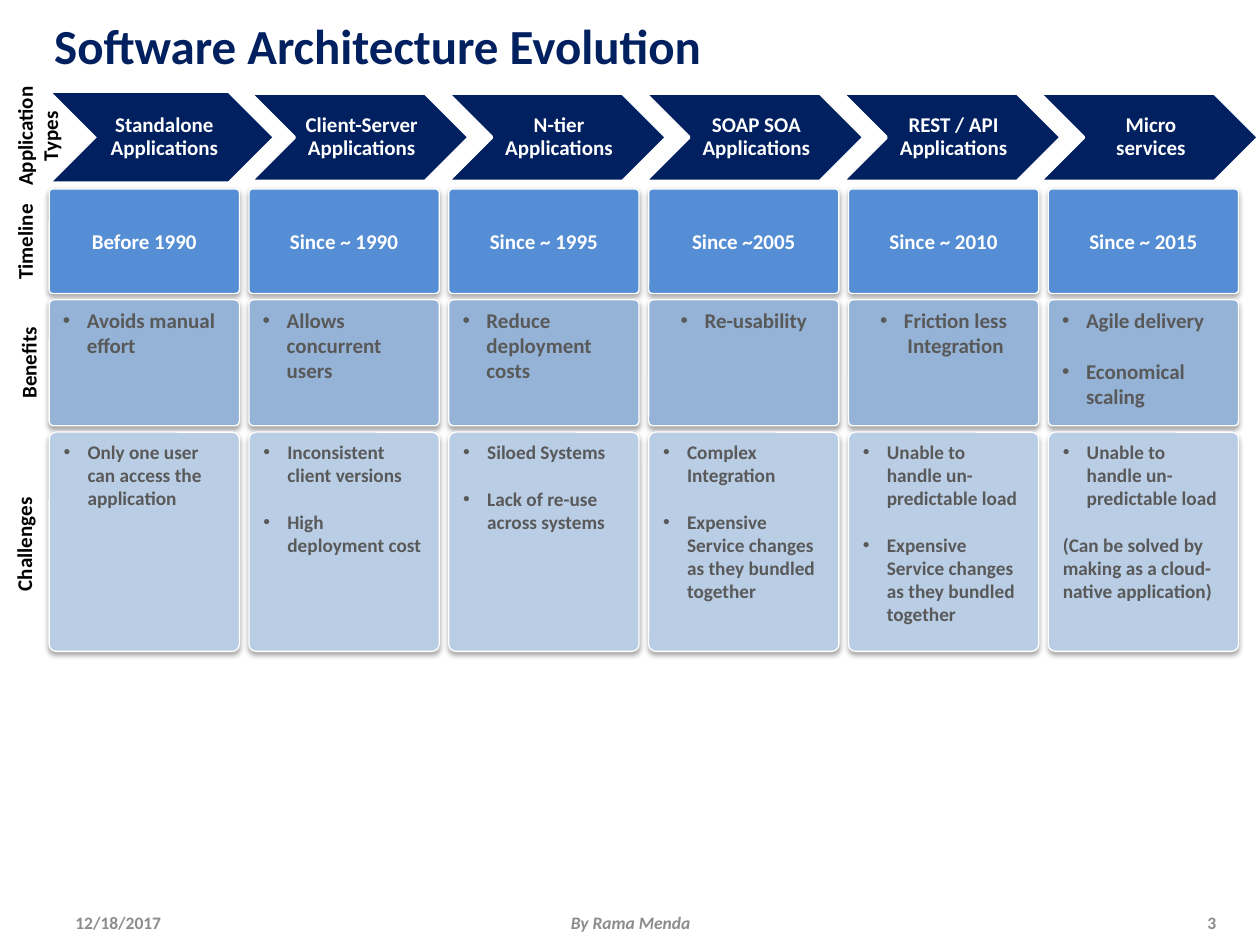
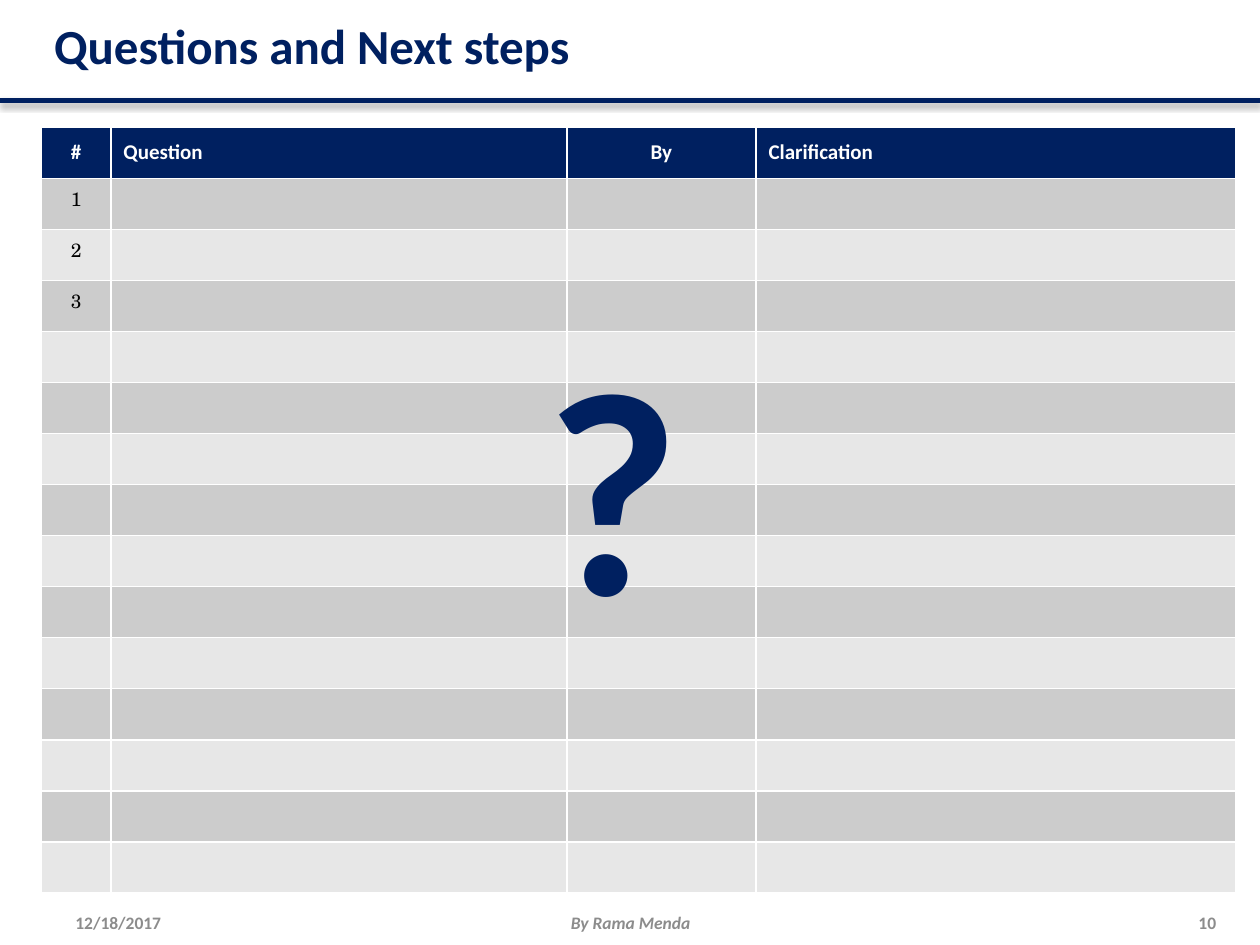
"""Build two slides: the evolution of software architecture and a question log."""
from dataclasses import dataclass
from typing import NamedTuple

from lxml.etree import SubElement as Sub
from pptx import Presentation
from pptx.dml.color import RGBColor as Rgb
from pptx.enum.shapes import MSO_CONNECTOR as Conn, MSO_SHAPE as Kind
from pptx.enum.text import MSO_ANCHOR as Anchor, PP_ALIGN as Align
from pptx.oxml.ns import qn
from pptx.util import Inches, Pt

HUE = {
    "navy": "002060", "blue": "558ED5", "mid": "95B3D7", "pale": "B9CDE5",
    "white": "FFFFFF", "black": "000000", "ink": "595959", "foot": "8C8C8C",
    "dark": "CCCCCC", "light": "E7E7E7",
}
SANS, SERIF = "Calibri", "TeX Gyre Schola"
COUNT = 6


class Box(NamedTuple):
    left: float
    top: float
    width: float
    height: float

    def emu(self) -> list:
        return [Inches(side) for side in self]


class Style(NamedTuple):
    size: float
    hue: str
    align: Align = Align.LEFT
    face: str = SANS
    bold: bool = True
    slant: bool = False


class Item(NamedTuple):
    text: str
    mark: bool = True
    align: Align = Align.LEFT


@dataclass
class Row:
    top: float
    height: float
    fill: str
    style: Style
    anchor: Anchor
    cells: list[list[Item]]


def color(name: str) -> Rgb:
    return Rgb.from_string(HUE[name])


def format_par(par, style: Style) -> None:
    par.alignment = style.align
    font = par.font
    font.name, font.size = style.face, Pt(style.size)
    font.bold, font.italic = style.bold, style.slant
    font.color.rgb = color(style.hue)


def write(frame, text: str, style: Style, anchor: Anchor = Anchor.MIDDLE) -> None:
    frame.text = text
    frame.word_wrap = True
    frame.vertical_anchor = anchor
    for par in frame.paragraphs:
        format_par(par, style)


def add_text(slide, box: Box, text: str, style: Style, anchor: Anchor = Anchor.MIDDLE):
    shape = slide.shapes.add_textbox(*box.emu())
    write(shape.text_frame, text, style, anchor)
    return shape


def add_shade(props) -> None:
    old = props.find(qn("a:effectLst"))
    list_el = Sub(props, qn("a:effectLst")) if old is None else old
    shade = Sub(list_el, qn("a:outerShdw"), blurRad="40000", dist="23000",
                dir="5400000", rotWithShape="0")
    tone = Sub(shade, qn("a:srgbClr"), val=HUE["black"])
    Sub(tone, qn("a:alpha"), val="35000")


def add_mark(par) -> None:
    props = par._p.get_or_add_pPr()
    props.set("marL", str(Inches(0.19)))
    props.set("indent", str(-Inches(0.19)))
    font = props.makeelement(qn("a:buFont"), {"typeface": "Arial"})
    mark = props.makeelement(qn("a:buChar"), {"char": "•"})
    rest = props.find(qn("a:defRPr"))
    rest.addprevious(font)
    rest.addprevious(mark)


def add_shape(slide, kind: Kind, box: Box, fill: str, edge: float):
    shape = slide.shapes.add_shape(kind, *box.emu())
    shape.shadow.inherit = False
    shape.fill.solid()
    shape.fill.fore_color.rgb = color(fill)
    if edge:
        shape.line.color.rgb = color("white")
        shape.line.width = Pt(edge)
    else:
        shape.line.fill.background()
    return shape


def add_card(slide, left: float, row: Row, items: list[Item]) -> None:
    box = Box(left, row.top, 1.51, row.height)
    shape = add_shape(slide, Kind.ROUNDED_RECTANGLE, box, row.fill, 0.75)
    shape.adjustments[0] = 0.037
    add_shade(shape._element.spPr)
    text = "\n".join(item.text for item in items)
    write(shape.text_frame, text, row.style, row.anchor)
    for num, (par, item) in enumerate(zip(shape.text_frame.paragraphs, items)):
        par.alignment = item.align
        if num:
            par.space_before = Pt(row.style.size * 1.22)
        if item.mark:
            add_mark(par)


def add_arrow(slide, left: float, text: str, edge: float) -> None:
    shape = add_shape(slide, Kind.CHEVRON, Box(left, 0.74, 1.74, 0.7), "navy", edge)
    frame = shape.text_frame
    write(frame, text, Style(12, "white", Align.CENTER))
    frame.margin_left = Inches(0.05)
    frame.margin_top = frame.margin_right = frame.margin_bottom = Inches(0.02)
    for par in frame.paragraphs:
        par.line_spacing = 0.9


def spread(first: float, last: float) -> list[float]:
    return [first + (last - first) * num / (COUNT - 1) for num in range(COUNT)]


def add_slide(deck, title: str, page: str):
    slide = deck.slides.add_slide(deck.slide_layouts[5])
    head = slide.shapes.title
    head.left, head.top, head.width, head.height = Box(0.33, 0.05, 9.42, 0.62).emu()
    write(head.text_frame, title, Style(28, "navy"))
    foot = Style(10, "foot")
    add_text(slide, Box(0.5, 7.25, 2.33, 0.15), "12/18/2017", foot)
    add_text(slide, Box(9.25, 7.25, 0.5, 0.15), page, foot._replace(align=Align.RIGHT))
    add_text(slide, Box(3.42, 7.25, 3.17, 0.15), "By Rama Menda",
             foot._replace(align=Align.CENTER, slant=True))
    return slide


TYPES = ["Standalone\nApplications", "Client-Server\nApplications",
         "N-tier\nApplications", "SOAP SOA\nApplications",
         "REST / API\nApplications", "Micro services"]
DATES = ["Before 1990", "Since ~ 1990", "Since ~ 1995", "Since ~2005",
         "Since ~ 2010", "Since ~ 2015"]
LOAD = Item("Unable to handle un-predictable load")
BUNDLE = Item("Expensive Service changes as they bundled together")
ROWS = [
    Row(1.5, 0.83, "blue", Style(12, "white"), Anchor.MIDDLE,
        [[Item(date, False, Align.CENTER)] for date in DATES]),
    Row(2.38, 1, "mid", Style(12, "ink"), Anchor.TOP, [
        [Item("Avoids manual effort")],
        [Item("Allows concurrent users")],
        [Item("Reduce deployment costs")],
        [Item("Re-usability", align=Align.CENTER)],
        [Item("Friction less Integration", align=Align.CENTER)],
        [Item("Agile delivery"), Item("Economical scaling")]]),
    Row(3.43, 1.74, "pale", Style(11, "ink"), Anchor.TOP, [
        [Item("Only one user can access the application")],
        [Item("Inconsistent client versions"), Item("High deployment cost")],
        [Item("Siloed Systems"), Item("Lack of re-use across systems")],
        [Item("Complex Integration"), BUNDLE],
        [LOAD, BUNDLE],
        [LOAD, Item("(Can be solved by making as a cloud-native application)", False)]]),
]
LABELS = {
    "Challenges": Box(-0.64, 4.17, 1.66, 0.3),
    "Benefits": Box(-0.28, 2.73, 1.01, 0.3),
    "Timeline": Box(-0.22, 1.77, 0.83, 0.3),
    "Application\nTypes": Box(-0.21, 0.83, 1.01, 0.5),
}
HEADS = ["#", "Question", "By", "Clarification"]
WIDTHS = [0.55, 3.62, 1.5, 3.81]
LINES = 15


def draw_eras(deck) -> None:
    slide = add_slide(deck, "Software Architecture Evolution", "3")
    for num, (left, text) in enumerate(zip(spread(0.42, 8.25), TYPES)):
        add_arrow(slide, left, text, 2 if num else 0)
    for row in ROWS:
        for left, items in zip(spread(0.39, 8.32), row.cells):
            add_card(slide, left, row, items)
    for text, box in LABELS.items():
        label = add_text(slide, box, text, Style(12, "black", Align.CENTER), Anchor.TOP)
        label.text_frame.word_wrap = False
        label.rotation = 270


def draw_log(deck) -> None:
    slide = add_slide(deck, "Questions and Next steps", "10")
    box = Box(0.33, 1.01, sum(WIDTHS), 6.08)
    grid = slide.shapes.add_table(LINES, len(HEADS), *box.emu()).table
    for col, width in zip(grid.columns, WIDTHS):
        col.width = Inches(width)
    head, body = Style(12, "white"), Style(11, "black", face=SERIF, bold=False)
    for line in range(LINES):
        for num, name in enumerate(HEADS):
            cell = grid.cell(line, num)
            cell.fill.solid()
            if line == 0:
                text, style, fill = name, head, "navy"
                cell.vertical_anchor = Anchor.MIDDLE
            else:
                text = str(line) if num == 0 and line <= 3 else ""
                style, fill = body, "dark" if line % 2 else "light"
            cell.text = text
            cell.fill.fore_color.rgb = color(fill)
            align = Align.LEFT if num % 2 else Align.CENTER
            format_par(cell.text_frame.paragraphs[0], style._replace(align=align))
    rule = slide.shapes.add_connector(Conn.STRAIGHT, 0, Inches(0.8), Inches(10), Inches(0.8))
    rule.line.color.rgb = color("navy")
    rule.line.width = Pt(3)
    add_shade(rule._element.spPr)
    add_text(slide, Box(4.23, 2.37, 0.43, 2.89), "?", Style(166, "navy"), Anchor.TOP)


def main() -> None:
    deck = Presentation()
    deck.slide_width, deck.slide_height = Inches(10), Inches(7.5)
    draw_eras(deck)
    draw_log(deck)
    deck.save("out.pptx")


main()
